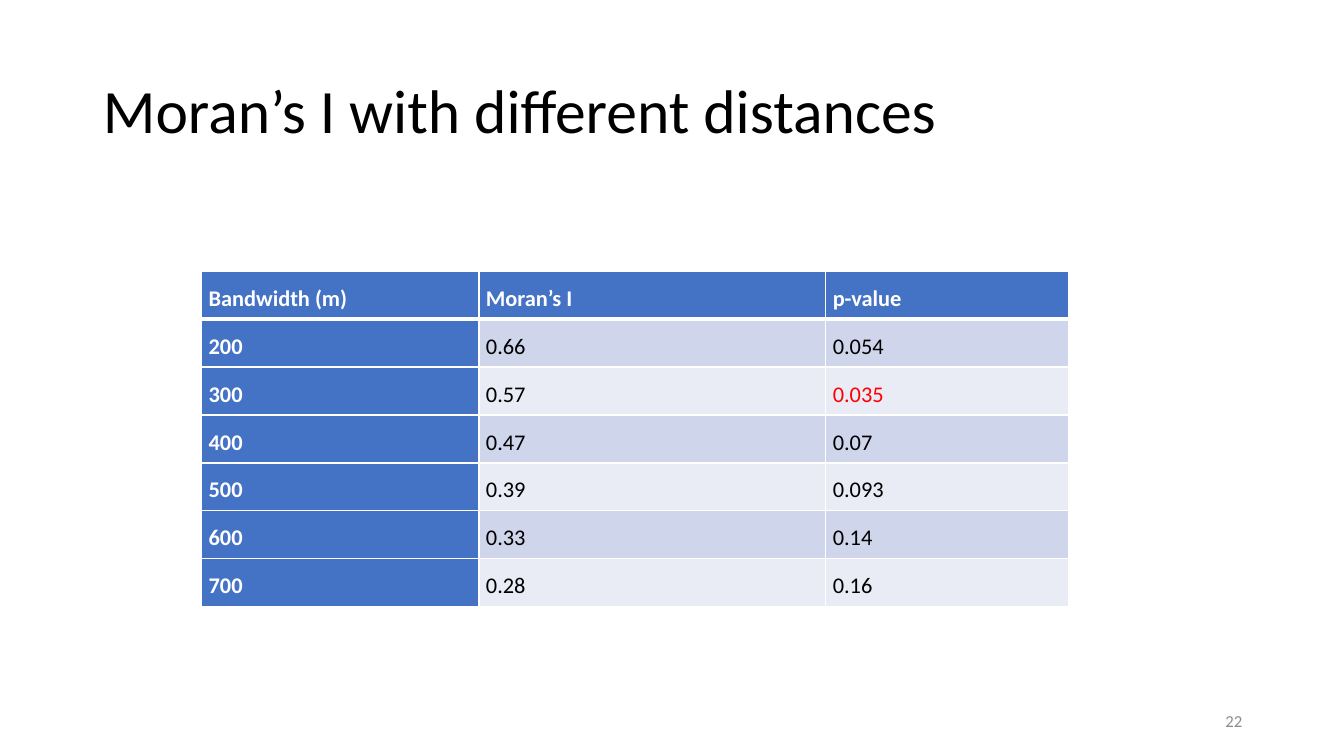
"""Build the slide with Moran's I for a range of bandwidths."""
import pptx
import pptx.util
import pptx.dml.color
import pptx.enum.text
from lxml import etree

Inches, Pt = pptx.util.Inches, pptx.util.Pt
RGBColor = pptx.dml.color.RGBColor
ANCHOR, ALIGN = pptx.enum.text.MSO_ANCHOR, pptx.enum.text.PP_ALIGN

BLACK = RGBColor(0x00, 0x00, 0x00)
WHITE = RGBColor(0xFF, 0xFF, 0xFF)
RED = RGBColor(0xFF, 0x00, 0x00)
GREY = RGBColor(0x8C, 0x8C, 0x8C)
BLUE = RGBColor(0x44, 0x72, 0xC4)
DARK_BAND = RGBColor(0xCF, 0xD5, 0xEA)
LIGHT_BAND = RGBColor(0xE9, 0xEB, 0xF5)

FONT = "Calibri"
DRAWING_NS = "http://schemas.openxmlformats.org/drawingml/2006/main"
RESULTS = [
    ("Bandwidth (m)", "Moran’s I", "p-value"),
    ("200", "0.66", "0.054"),
    ("300", "0.57", "0.035"),
    ("400", "0.47", "0.07"),
    ("500", "0.39", "0.093"),
    ("600", "0.33", "0.14"),
    ("700", "0.28", "0.16"),
]
COLUMN_WIDTHS = [2.75, 3.44, 2.41]
TABLE_HEIGHT = 3.33
SIGNIFICANCE_LEVEL = 0.05


def style_font(font, size, color, bold=False):
    font.name, font.size, font.bold = FONT, Pt(size), bold
    font.color.rgb = color


def add_border(cell, side, width):
    border = etree.SubElement(cell._tc.get_or_add_tcPr(), f"{{{DRAWING_NS}}}{side}", w=str(Pt(width)))
    fill = etree.SubElement(border, f"{{{DRAWING_NS}}}solidFill")
    etree.SubElement(fill, f"{{{DRAWING_NS}}}srgbClr", val=str(WHITE))


deck = pptx.Presentation()
deck.slide_width, deck.slide_height = Inches(13.33), Inches(7.5)
slide = deck.slides.add_slide(deck.slide_layouts[5])

title = slide.shapes.title
title.left, title.top = Inches(0.92), Inches(0.4)
title.width, title.height = Inches(11.5), Inches(1.45)
title.text_frame.text = "Moran’s I with different distances"
title.text_frame.vertical_anchor = ANCHOR.MIDDLE
heading = title.text_frame.paragraphs[0]
heading.alignment, heading.line_spacing = ALIGN.LEFT, 0.9
style_font(heading.runs[0].font, 44, BLACK)

results_table = slide.shapes.add_table(
    len(RESULTS), len(COLUMN_WIDTHS), Inches(2), Inches(2.69),
    Inches(sum(COLUMN_WIDTHS)), Inches(TABLE_HEIGHT)).table
results_table.first_col = True
for column, width in zip(results_table.columns, COLUMN_WIDTHS):
    column.width = Inches(width)

for r, values in enumerate(RESULTS):
    results_table.rows[r].height = Inches(TABLE_HEIGHT / len(RESULTS))
    for c, value in enumerate(values):
        cell = results_table.cell(r, c)
        is_header = r == 0 or c == 0
        is_significant = not is_header and c == 2 and float(value) < SIGNIFICANCE_LEVEL
        cell.margin_left = cell.margin_right = Inches(0.07)
        cell.margin_top = cell.margin_bottom = 0
        for side in ("lnL", "lnR", "lnT", "lnB"):
            under_header = (r, side) in ((0, "lnB"), (1, "lnT"))
            add_border(cell, side, 3 if under_header else 1)
        cell.fill.solid()
        cell.fill.fore_color.rgb = BLUE if is_header else DARK_BAND if r % 2 else LIGHT_BAND
        cell.text_frame.text = value
        entry = cell.text_frame.paragraphs[0]
        entry.line_spacing = 1.5
        color = WHITE if is_header else RED if is_significant else BLACK
        style_font(entry.runs[0].font, 16, color, is_header)

page_number = slide.shapes.add_textbox(Inches(9.42), Inches(6.95), Inches(3), Inches(0.4)).text_frame
page_number.word_wrap = True
page_number.vertical_anchor = ANCHOR.MIDDLE
page_number.text = "22"
page_number.paragraphs[0].alignment = ALIGN.RIGHT
style_font(page_number.paragraphs[0].runs[0].font, 12, GREY)

deck.save("out.pptx")
